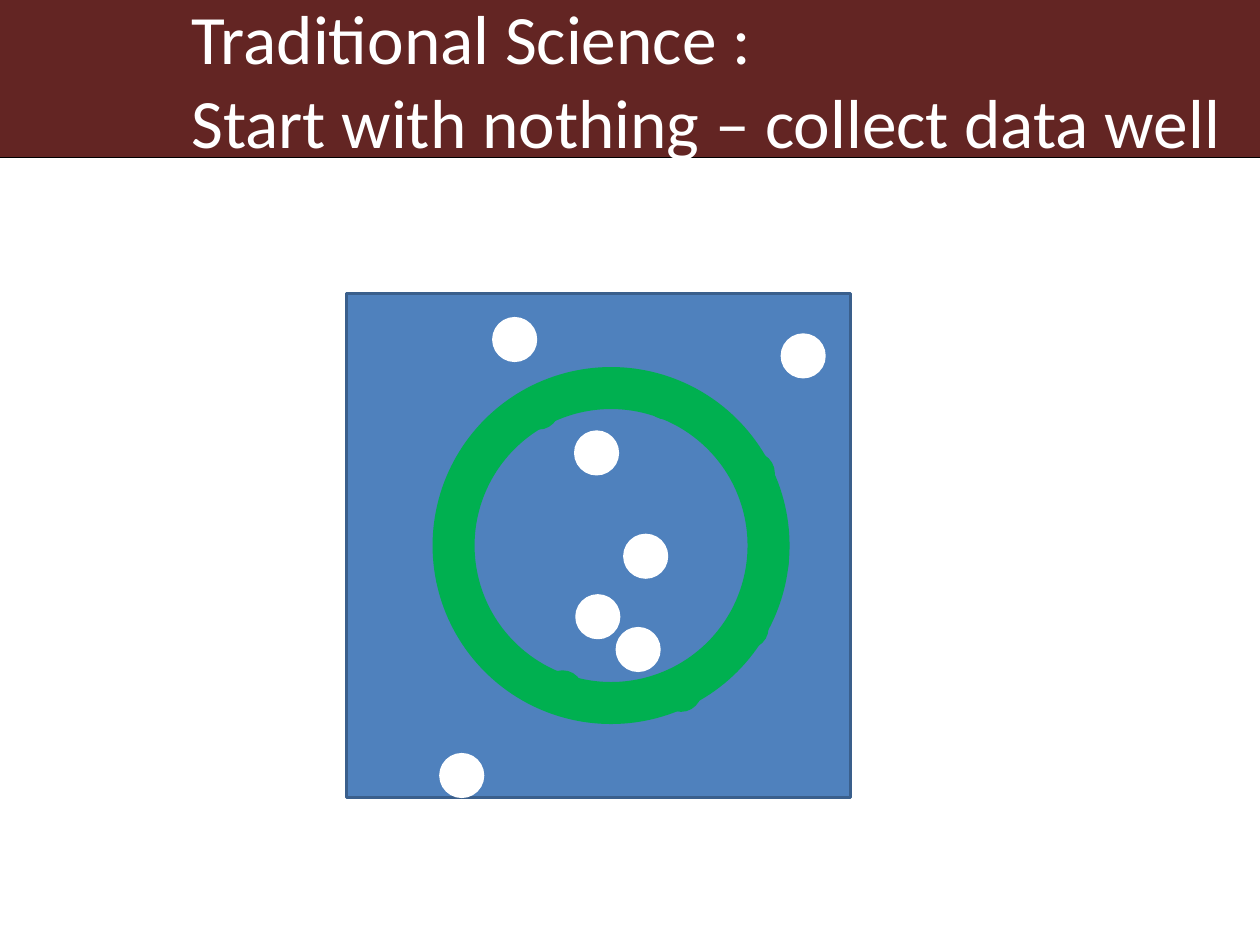
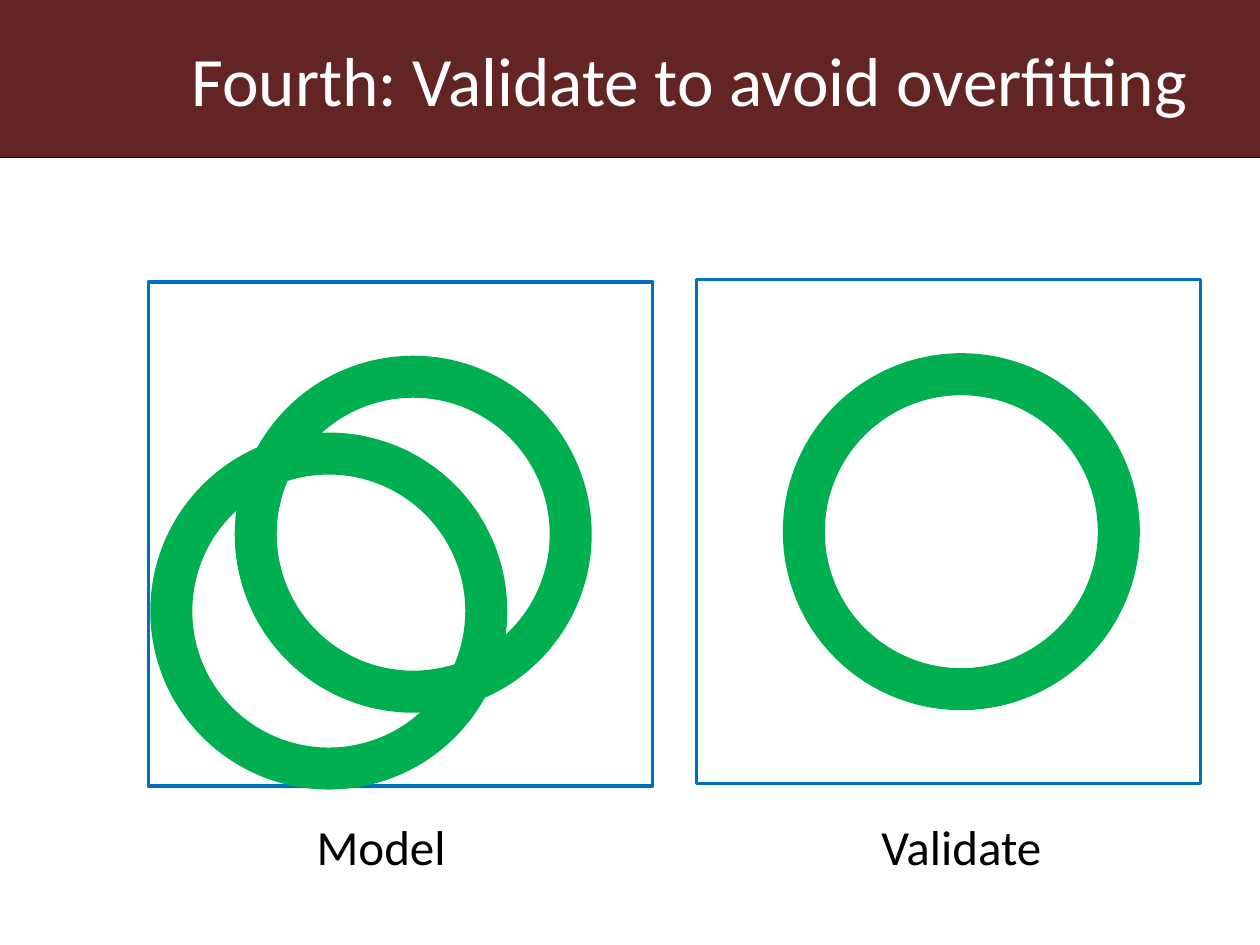
"""Build two slides on collecting data and on validating a model."""
from typing import NamedTuple

from pptx import Presentation
from pptx.dml.color import RGBColor
from pptx.enum.shapes import MSO_CONNECTOR, MSO_SHAPE
from pptx.enum.text import MSO_ANCHOR, PP_ALIGN
from pptx.oxml.ns import qn
from pptx.util import Inches, Pt

MAROON = RGBColor(0x63, 0x25, 0x23)
BLACK = RGBColor(0, 0, 0)
WHITE = RGBColor(0xFF, 0xFF, 0xFF)
GREEN = RGBColor(0x00, 0xB0, 0x50)
BLUE = RGBColor(0x4F, 0x81, 0xBD)
DARK_BLUE = RGBColor(0x3A, 0x5F, 0x8C)
BRIGHT_BLUE = RGBColor(0x00, 0x70, 0xC0)

RECTANGLE, ELLIPSE = MSO_SHAPE.RECTANGLE, MSO_SHAPE.OVAL
STRAIGHT = MSO_CONNECTOR.STRAIGHT
MIDDLE, TOP = MSO_ANCHOR.MIDDLE, MSO_ANCHOR.TOP
LEFT, CENTER = PP_ALIGN.LEFT, PP_ALIGN.CENTER

FONT = "Calibri"
COLUMNS, ROWS = 10, 7.5
WIDTH, HEIGHT = Inches(10), Inches(7.5)
BAND_ROWS = 1.25
PANEL_SIZE, RING_SIZE, DOT_SIZE = 4, 2.5, 0.33
RING_OFFSET = (0.85, 0.75)
THIN, THICK = 2, 24

WHITE_DOTS = [(3.92, 2.53), (4.96, 4.25), (3.5, 5.99), (6.21, 2.66),
              (4.9, 4.99), (4.58, 4.73), (4.57, 3.43)]
GREEN_DOTS = [(3.46, 4.41), (5.77, 4.82), (5.12, 3), (5.24, 5.32),
              (4.11, 3.08), (5.93, 4.3), (4.3, 5.32), (5.82, 3.59)]


class Area(NamedTuple):
    column: float
    row: float
    columns: float
    rows: float

    def lengths(self) -> list[int]:
        across, down = WIDTH / COLUMNS, HEIGHT / ROWS
        return [round(self.column * across), round(self.row * down),
                round(self.columns * across), round(self.rows * down)]


class Style(NamedTuple):
    fill: RGBColor | None = None
    line: RGBColor | None = None
    weight: float = THIN


class Panel(NamedTuple):
    column: float
    row: float
    style: Style


class Label(NamedTuple):
    text: str
    area: Area
    size: float
    color: RGBColor
    anchor: MSO_ANCHOR = TOP
    align: PP_ALIGN = CENTER
    wrap: bool = False


RING = Style(line=GREEN, weight=THICK)
OUTLINE = Style(line=BRIGHT_BLUE)
DATA_PANEL = Panel(2.75, 2.33, Style(BLUE, DARK_BLUE))
MODEL_PANEL = Panel(1.18, 2.24, OUTLINE)
VALIDATE_PANEL = Panel(5.53, 2.22, OUTLINE)
CAPTIONS = [Label("Model", Area(2.39, 6.43, 1.27, 0.57), 28, BLACK),
            Label("Validate", Area(6.83, 6.43, 1.6, 0.57), 28, BLACK)]


def add_figure(page, kind: MSO_SHAPE, area: Area, style: Style) -> None:
    shape = page.shapes.add_shape(kind, *area.lengths())
    shape.shadow.inherit = False
    if style.fill is None:
        shape.fill.background()
    else:
        shape.fill.solid()
        shape.fill.fore_color.rgb = style.fill
    if style.line is None:
        shape.line.fill.background()
    else:
        shape.line.color.rgb = style.line
        shape.line.width = Pt(style.weight)


def add_label(page, label: Label) -> None:
    box = page.shapes.add_textbox(*label.area.lengths())
    frame = box.text_frame
    frame.word_wrap = label.wrap
    frame.vertical_anchor = label.anchor
    frame.text = label.text
    for para in frame.paragraphs:
        para.alignment = label.align
        para.font.name = FONT
        para.font.size = Pt(label.size)
        para.font.color.rgb = label.color


def add_ring(page, column: float, row: float) -> None:
    add_figure(page, ELLIPSE, Area(column, row, RING_SIZE, RING_SIZE), RING)


def add_panel(page, panel: Panel) -> None:
    area = Area(panel.column, panel.row, PANEL_SIZE, PANEL_SIZE)
    add_figure(page, RECTANGLE, area, panel.style)
    add_ring(page, panel.column + RING_OFFSET[0], panel.row + RING_OFFSET[1])


def add_dots(page, places: list[tuple[float, float]], style: Style) -> None:
    for column, row in places:
        add_figure(page, ELLIPSE, Area(column, row, DOT_SIZE, DOT_SIZE), style)


def add_page(deck, title: str):
    page = deck.slides.add_slide(deck.slide_layouts[6])
    band = Area(0, 0, COLUMNS, BAND_ROWS)
    add_figure(page, RECTANGLE, band, Style(MAROON))
    bottom = band.lengths()[3]
    rule = page.shapes.add_connector(STRAIGHT, 0, bottom, WIDTH, bottom)
    rule.line.color.rgb = BLACK
    rule.line.width = Pt(0.75)
    properties = rule.element.spPr
    properties.append(properties.makeelement(qn("a:effectLst"), {}))
    add_label(page, Label(title, Area(1.42, 0, 8.5, BAND_ROWS), 39.6, WHITE,
                          MIDDLE, LEFT, True))
    return page


def build_data_page(deck) -> None:
    page = add_page(
        deck, "Traditional Science :\vStart with nothing – collect data well")
    add_panel(page, DATA_PANEL)
    add_dots(page, GREEN_DOTS, Style(GREEN))
    add_dots(page, WHITE_DOTS, Style(WHITE, WHITE))


def build_validation_page(deck) -> None:
    page = add_page(deck, "Fourth: Validate to avoid overfitting")
    for panel in (VALIDATE_PANEL, MODEL_PANEL):
        add_panel(page, panel)
    add_ring(page, 1.36, 3.6)
    for caption in CAPTIONS:
        add_label(page, caption)


def main() -> None:
    deck = Presentation()
    deck.slide_width, deck.slide_height = WIDTH, HEIGHT
    build_data_page(deck)
    build_validation_page(deck)
    deck.save("out.pptx")


if __name__ == "__main__":
    main()
